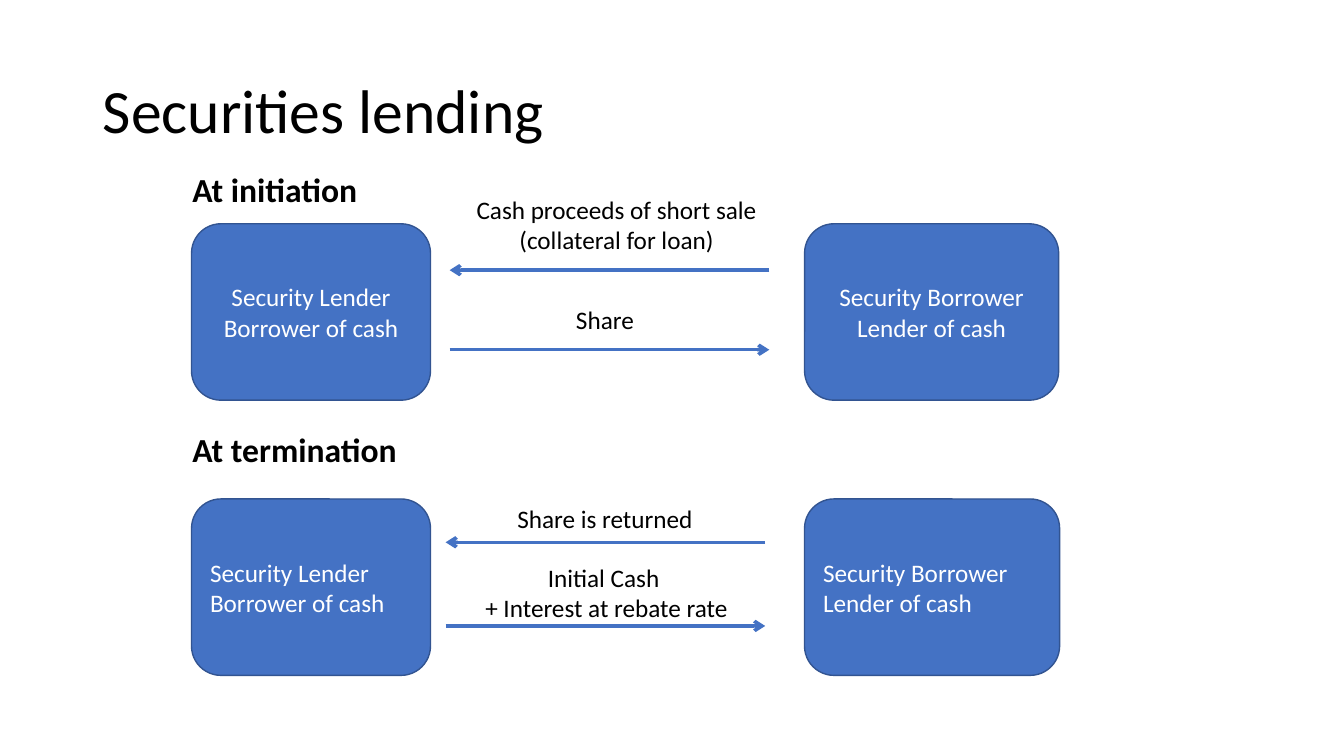
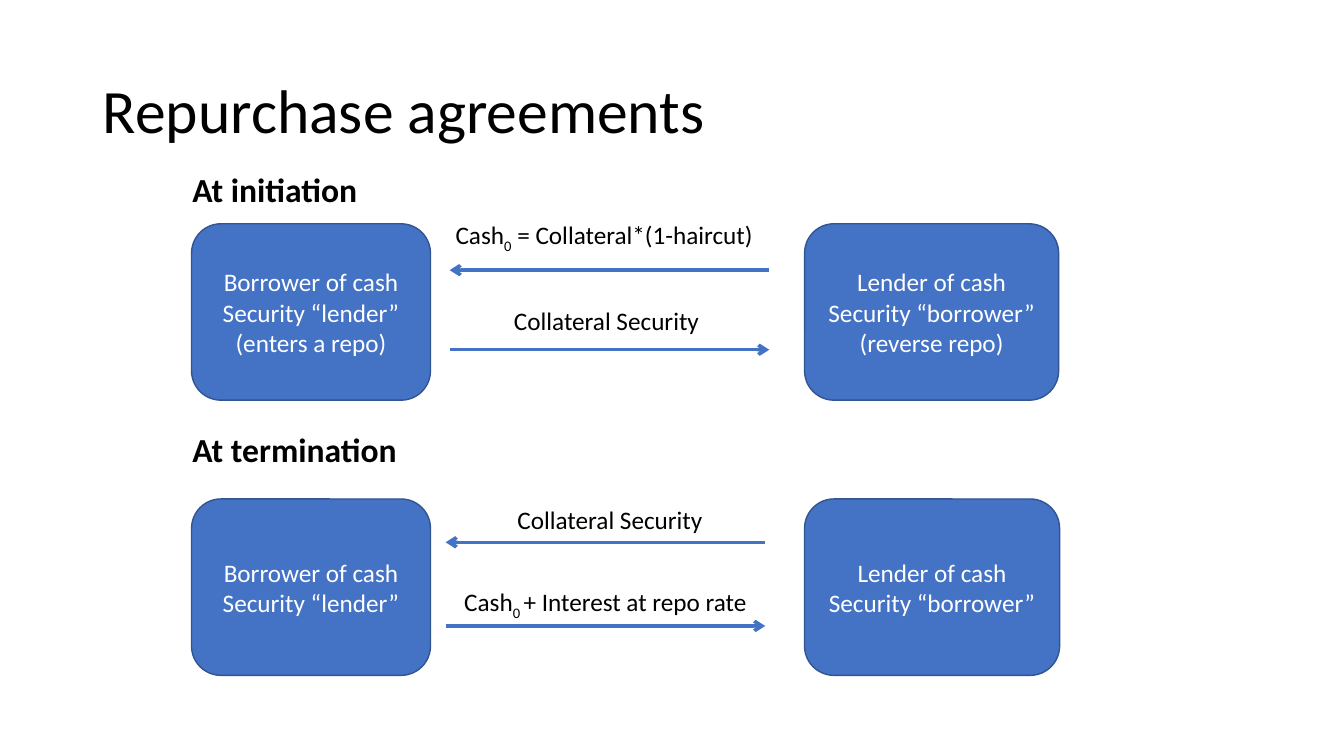
from lxml import etree
from pptx import Presentation
from pptx.dml.color import RGBColor
from pptx.enum.shapes import MSO_CONNECTOR, MSO_SHAPE
from pptx.enum.text import MSO_ANCHOR, MSO_AUTO_SIZE, PP_ALIGN
from pptx.oxml.ns import qn
from pptx.util import Inches, Pt

BLUE = RGBColor(0x44, 0x72, 0xC4)
NAVY = RGBColor(0x32, 0x54, 0x91)
WHITE = RGBColor(0xFF, 0xFF, 0xFF)
BLACK = RGBColor(0, 0, 0)
FONT = "Calibri"
LEFT, MID = PP_ALIGN.LEFT, PP_ALIGN.CENTER


class Deck:
    """Holds the shared style and the current slide."""

    def __init__(self):
        """Start a wide deck."""
        self.prs = Presentation()
        self.prs.slide_width = Inches(13.33)
        self.prs.slide_height = Inches(7.5)
        self.slide = None

    def page(self, title):
        """Add a slide with its title."""
        self.slide = self.prs.slides.add_slide(self.prs.slide_layouts[5])
        shape = self.slide.shapes.title
        shape.left, shape.top = Inches(0.92), Inches(0.4)
        shape.width, shape.height = Inches(11.5), Inches(1.45)
        frame = shape.text_frame
        frame.auto_size = MSO_AUTO_SIZE.NONE
        frame.vertical_anchor = MSO_ANCHOR.MIDDLE
        self.words(frame, [title], LEFT, size=44)
        frame.paragraphs[0].line_spacing = 0.9

    def words(self, frame, lines, align, size=18, color=BLACK, bold=False):
        """Fill a frame; in a line given as a tuple, every second part is a subscript."""
        for row, line in enumerate(lines):
            para = frame.add_paragraph() if row else frame.paragraphs[0]
            para.alignment = align
            parts = (line,) if isinstance(line, str) else line
            for spot, part in enumerate(parts):
                run = para.add_run()
                run.text = part
                font = run.font
                font.name, font.size, font.bold = FONT, Pt(size), bold
                font.color.rgb = color
                if spot % 2:
                    run._r.get_or_add_rPr().set("baseline", "-25000")

    def label(self, lines, left, top, width, align=MID, wrap=True, size=18, bold=False):
        """Add a text box that grows with its lines."""
        high = 0.1 + len(lines) * size / 60
        box = self.slide.shapes.add_textbox(
            Inches(left), Inches(top), Inches(width), Inches(high))
        frame = box.text_frame
        frame.word_wrap = wrap
        frame.auto_size = MSO_AUTO_SIZE.SHAPE_TO_FIT_TEXT
        self.words(frame, lines, align, size, bold=bold)

    def party(self, lines, left, top, width, align):
        """Add a rounded box for one side of the deal."""
        box = self.slide.shapes.add_shape(
            MSO_SHAPE.ROUNDED_RECTANGLE, Inches(left), Inches(top),
            Inches(width), Inches(1.75))
        box.shadow.inherit = False
        box.fill.solid()
        box.fill.fore_color.rgb = BLUE
        box.line.color.rgb = NAVY
        box.line.width = Pt(1)
        frame = box.text_frame
        frame.word_wrap = True
        frame.vertical_anchor = MSO_ANCHOR.MIDDLE
        self.words(frame, lines, align, color=WHITE)

    def arrow(self, start, end, level):
        """Add a level arrow that points at end."""
        line = self.slide.shapes.add_connector(
            MSO_CONNECTOR.STRAIGHT, Inches(start), Inches(level),
            Inches(end), Inches(level))
        line.line.color.rgb = BLUE
        line.line.width = Pt(2.5)
        props = line._element.spPr
        tail = etree.SubElement(props.find(qn("a:ln")), qn("a:tailEnd"))
        tail.set("type", "arrow")
        etree.SubElement(props, qn("a:effectLst"))

    def stage(self, name, lender, borrower, align=MID):
        """Add one stage: heading, two parties and the arrows between them."""
        head, top, wide, near, back, forth = STAGES[name]
        self.party(lender, 1.9, top, 2.37, align)
        self.party(borrower, 7.98, top, wide, align)
        far = near + 3.17
        self.arrow(far, near, back)
        self.arrow(near, far, forth)
        self.label([name], 1.81, head, 2.25, LEFT, False, 24, True)


# heading top, box top, right box width, arrow left end, upper and lower arrow
START, END = "At initiation", "At termination"
STAGES = {
    START: (1.63, 2.22, 2.52, 4.46, 2.68, 3.47),
    END: (4.21, 4.95, 2.53, 4.42, 5.38, 6.21),
}

deck = Deck()

deck.page("Securities lending")
lender = ["Security Lender", "Borrower of cash"]
borrower = ["Security Borrower", "Lender of cash"]
deck.stage(START, lender, borrower)
deck.label(["Cash proceeds of short sale", "(collateral for loan)"], 4.42, 1.88, 3.39)
deck.label(["Share"], 5.22, 2.97, 1.56)
deck.stage(END, lender, borrower, LEFT)
deck.label(["Share is returned"], 5.02, 4.94, 1.96, wrap=False)
deck.label(["Initial Cash ", "+ Interest at rebate rate"], 4.46, 5.53, 3.11)

deck.page("Repurchase agreements")
lender = ["Borrower of cash", "Security “lender”"]
borrower = ["Lender of cash", "Security “borrower”"]
deck.stage(START, lender + ["(enters a repo)"], borrower + ["(reverse repo)"])
deck.label([("Cash", "0", " = Collateral*(1-haircut)")], 4.42, 2.13, 3.39, LEFT)
deck.label(["Collateral Security"], 4.99, 2.98, 2.05)
deck.stage(END, lender, borrower)
deck.label(["Collateral Security"], 5.02, 4.95, 2.06, wrap=False)
deck.label([("Cash", "0 ", "+ Interest at repo rate")], 4.45, 5.77, 3.11)

deck.prs.save("out.pptx")
